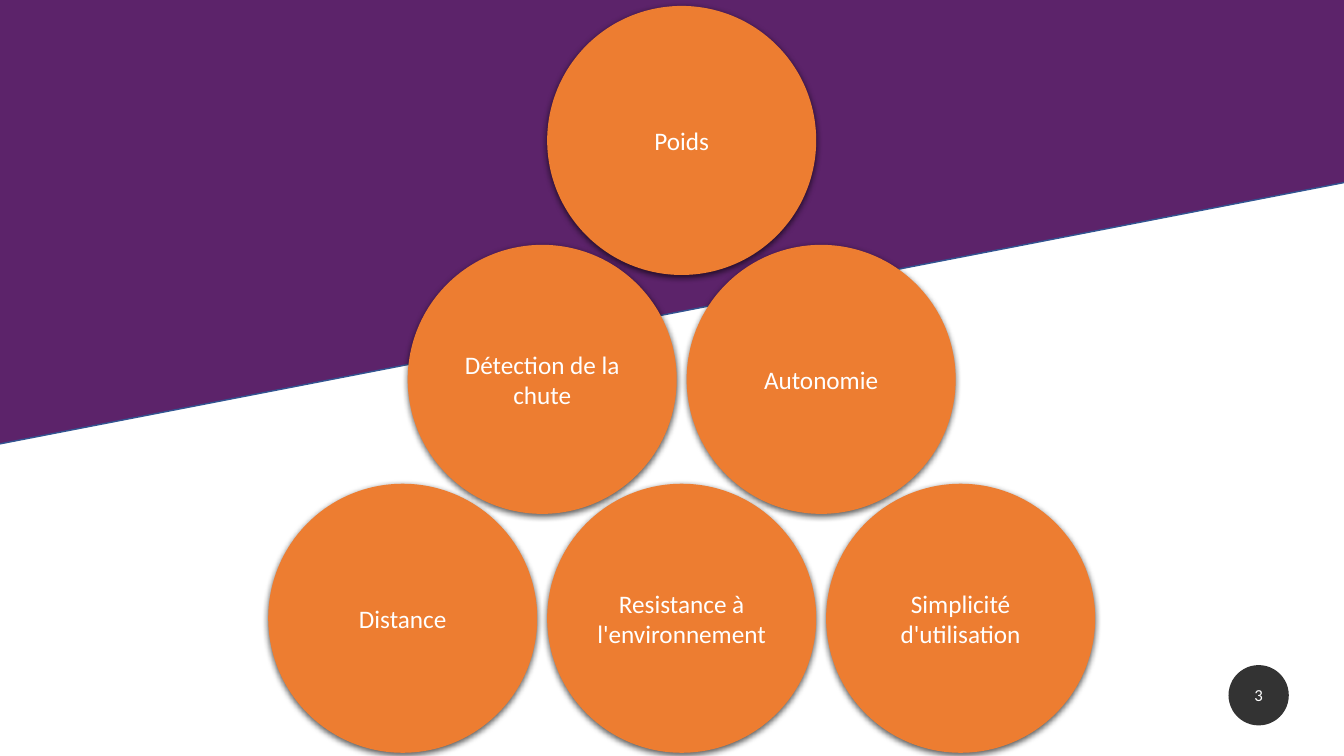
from lxml.etree import SubElement
from pptx import Presentation
from pptx.dml.color import RGBColor
from pptx.enum.shapes import MSO_SHAPE as Shape
from pptx.enum.text import MSO_ANCHOR as Anchor, PP_ALIGN as Align
from pptx.oxml import parse_xml
from pptx.oxml.ns import nsdecls, qn
from pptx.util import Cm, Pt

PURPLE = RGBColor(0x5C, 0x23, 0x6A)
BLUE = RGBColor(0x32, 0x54, 0x91)
ORANGE = RGBColor(0xED, 0x7D, 0x31)
BLACK = RGBColor(0, 0, 0)
WHITE = RGBColor(0xFF, 0xFF, 0xFF)

SHADOW = (
    f'<a:effectLst {nsdecls("a")}>'
    '<a:outerShdw blurRad="57150" dist="19050" dir="5400000" algn="ctr" rotWithShape="0">'
    '<a:srgbClr val="000000"><a:alpha val="63000"/></a:srgbClr>'
    '</a:outerShdw></a:effectLst>'
)

CRITERIA_ROWS = [
    ["Poids"],
    ["Détection de la chute", "Autonomie"],
    ["Distance", "Resistance à l'environnement", "Simplicité d'utilisation"],
]
DIAMETER = 6.78
COLUMN_STEP = 7.03
ROW_STEP = 6.02
PYRAMID_CENTER = 17.18
PYRAMID_TOP = 0.15

prs = Presentation()
prs.slide_width = Cm(33.87)
prs.slide_height = Cm(19.05)
slide = prs.slides.add_slide(prs.slide_layouts[6])


def add_disc(left, top, diameter, color, label, size):
    disc = slide.shapes.add_shape(
        Shape.OVAL, Cm(left), Cm(top), Cm(diameter), Cm(diameter))
    disc.shadow.inherit = False
    disc.fill.solid()
    disc.fill.fore_color.rgb = color
    disc.line.fill.background()
    frame = disc.text_frame
    frame.word_wrap = True
    frame.vertical_anchor = Anchor.MIDDLE
    paragraph = frame.paragraphs[0]
    paragraph.alignment = Align.CENTER
    run = paragraph.add_run()
    run.text = label
    run.font.name = "Calibri"
    run.font.size = Pt(size)
    run.font.color.rgb = WHITE
    return disc


band = slide.shapes.add_shape(
    Shape.RECTANGLE, Cm(8.26), Cm(-21.16), Cm(13.74), Cm(44.81))
band.rotation = 259
band.shadow.inherit = False
band.fill.solid()
band.fill.fore_color.rgb = PURPLE
band.line.color.rgb = BLUE
band.line.width = Pt(1)

for row, criteria in enumerate(CRITERIA_ROWS):
    row_left = PYRAMID_CENTER - DIAMETER / 2 - row * COLUMN_STEP / 2
    for column, criterion in enumerate(criteria):
        criterion_disc = add_disc(
            row_left + column * COLUMN_STEP, PYRAMID_TOP + row * ROW_STEP,
            DIAMETER, ORANGE, criterion, 18)
        properties = criterion_disc.element.spPr
        properties.replace(properties.find(qn("a:effectLst")), parse_xml(SHADOW))

page_number = add_disc(30.96, 16.76, 1.52, BLACK, "3", 12)
page_color = page_number.element.spPr.find(qn("a:solidFill"))[0]
SubElement(page_color, qn("a:alpha")).set("val", "80000")

prs.save("out.pptx")
